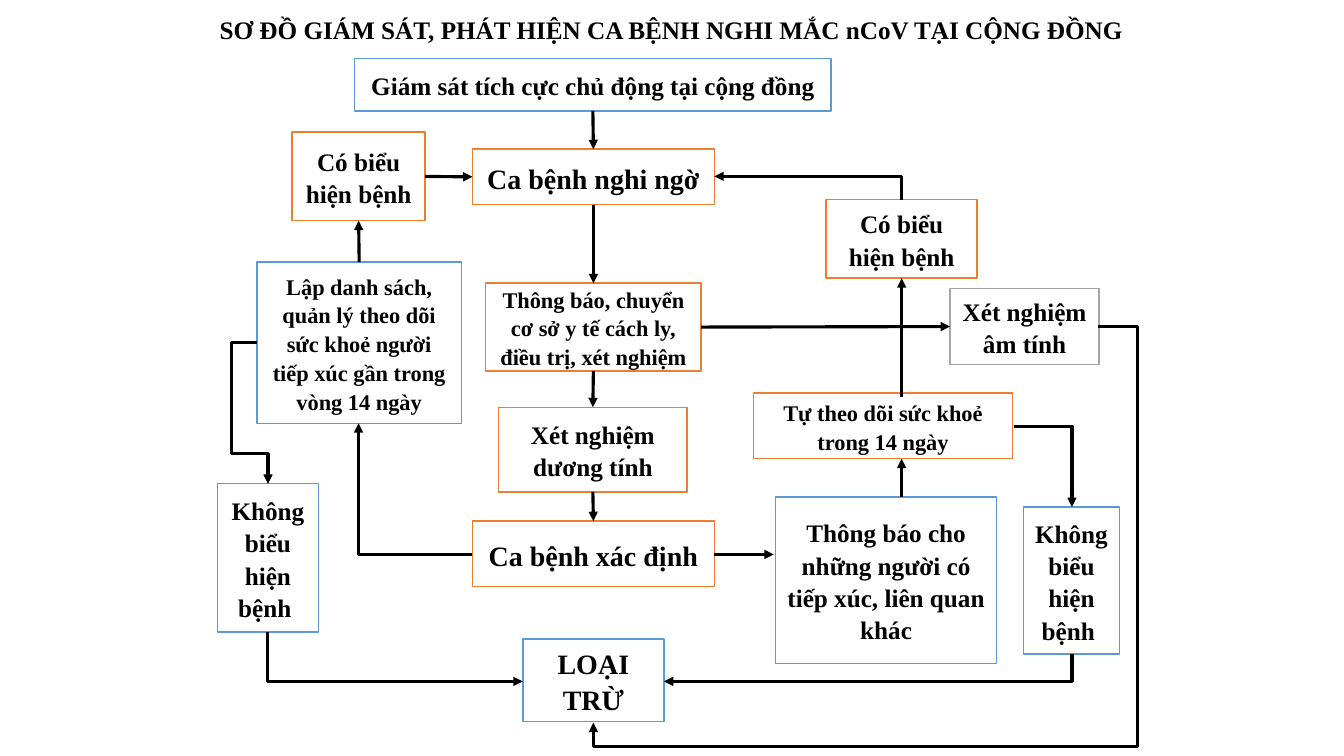
from pptx import Presentation
from pptx.dml.color import RGBColor
from pptx.enum.shapes import MSO_CONNECTOR as Connector, MSO_SHAPE as Shape
from pptx.enum.text import MSO_ANCHOR as Anchor, MSO_AUTO_SIZE as AutoSize, PP_ALIGN as Align
from pptx.oxml.ns import qn
from pptx.util import Inches, Pt
from lxml.etree import SubElement

TITLE = "SƠ ĐỒ GIÁM SÁT, PHÁT HIỆN CA BỆNH NGHI MẮC nCoV TẠI CỘNG ĐỒNG"
FONT = "Times New Roman"
BLACK, WHITE = "000000", "FFFFFF"
ORANGE, BLUE, GRAY = "ED7D31", "5B9BD5", "A5A5A5"
TOP, LEFT, BOTTOM, RIGHT = range(4)  # connection sites of a rectangle

# name: (text, font size, line colour, (left, top, width, height))
BOXES = {
    "surveillance": ("Giám sát tích cực chủ động tại cộng đồng", 18, BLUE, (3.52, 0.58, 4.73, 0.52)),
    "suspected": ("Ca bệnh nghi ngờ", 20, ORANGE, (4.69, 1.48, 2.4, 0.55)),
    "isolation": ("Thông báo, chuyển cơ sở y tế cách ly, điều trị, xét nghiệm", 16, ORANGE,
                  (4.82, 2.81, 2.14, 0.87)),
    "positive": ("Xét nghiệm dương tính", 18, ORANGE, (4.95, 4.04, 1.87, 0.84)),
    "confirmed": ("Ca bệnh xác định", 20, ORANGE, (4.69, 5.17, 2.4, 0.65)),
    "excluded": ("LOẠI TRỪ", 20, BLUE, (5.19, 6.34, 1.4, 0.82)),
    "close contacts": ("Lập danh sách, quản lý theo dõi sức khoẻ người tiếp xúc gần trong vòng 14 ngày",
                       16, BLUE, (2.55, 2.6, 2.03, 1.6)),
    "symptoms left": ("Có biểu hiện bệnh", 18, ORANGE, (2.9, 1.31, 1.32, 0.88)),
    "no symptoms left": ("Không biểu hiện bệnh ", 18, BLUE, (2.16, 4.8, 1, 1.47)),
    "other contacts": ("Thông báo cho những người có tiếp xúc, liên quan khác", 18, BLUE,
                       (7.7, 4.93, 2.19, 1.65)),
    "self monitoring": ("Tự theo dõi sức khoẻ trong 14 ngày", 16, ORANGE, (7.48, 3.9, 2.57, 0.65)),
    "symptoms right": ("Có biểu hiện bệnh", 18, ORANGE, (8.2, 1.98, 1.5, 0.78)),
    "negative": ("Xét nghiệm âm tính", 18, GRAY, (9.43, 2.86, 1.48, 0.76)),
    "no symptoms right": ("Không biểu hiện bệnh ", 18, BLUE, (10.16, 5.03, 0.95, 1.46)),
}
# Straight arrows glued to box sides
LINKS = [
    ("surveillance", BOTTOM, "suspected", TOP),
    ("suspected", BOTTOM, "isolation", TOP),
    ("isolation", BOTTOM, "positive", TOP),
    ("positive", BOTTOM, "confirmed", TOP),
    ("isolation", RIGHT, "negative", LEFT),
    ("symptoms left", RIGHT, "suspected", LEFT),
    ("close contacts", TOP, "symptoms left", BOTTOM),
]
# Straight arrows that meet a box away from the middle of its side
FREE_ARROWS = [
    ((7.09, 5.5), (7.68, 5.5)),
    ((8.95, 4.93), (8.95, 4.55)),
    ((8.95, 3.94), (8.95, 2.76)),
]
# One corner, horizontal part first: (begin, end, end that carries the arrowhead)
CORNERS = [
    ((4.69, 5.5), (3.56, 4.2), "tailEnd"),
    ((10.06, 4.23), (10.64, 5.03), "tailEnd"),
    ((7.09, 1.75), (8.95, 1.98), "headEnd"),
    ((5.19, 6.76), (2.66, 6.27), "headEnd"),
    ((6.59, 6.76), (10.64, 6.49), "headEnd"),
]
# Three corners: (begin, end, x of the vertical run, y of the horizontal run)
DETOURS = [
    ((2.55, 3.4), (2.66, 4.8), 2.3, 4.5),
    ((10.9, 3.24), (5.89, 7.17), 11.29, 7.41),
]


def color(value):
    return RGBColor.from_string(value)


def write(shape, text, size, alignment):
    frame = shape.text_frame
    frame.word_wrap = True
    frame.auto_size = AutoSize.NONE
    frame.vertical_anchor = Anchor.MIDDLE
    paragraph = frame.paragraphs[0]
    paragraph.text = text
    paragraph.alignment = alignment
    for name, value in {"name": FONT, "size": Pt(size), "bold": True}.items():
        setattr(paragraph.font, name, value)
    paragraph.font.color.rgb = color(BLACK)
    return paragraph


def add_box(slide, text, size, line_color, place):
    box = slide.shapes.add_shape(Shape.RECTANGLE, *map(Inches, place))
    box.shadow.inherit = False
    box.fill.solid()
    box.fill.fore_color.rgb = color(WHITE)
    box.line.color.rgb = color(line_color)
    box.line.width = Pt(1)
    paragraph = write(box, text, size, Align.CENTER)
    paragraph.line_spacing = 1.07
    paragraph.space_after = Pt(8)
    return box


def add_arrow(slide, begin=(0, 0), end=(0, 0), kind=Connector.STRAIGHT, arrow_end="tailEnd"):
    arrow = slide.shapes.add_connector(kind, *map(Inches, begin + end))
    arrow.line.color.rgb = color(BLACK)
    arrow.line.width = Pt(2.25)
    properties = arrow._element.spPr
    SubElement(properties.find(qn("a:ln")), qn("a:" + arrow_end), type="triangle")
    SubElement(properties, qn("a:effectLst"))
    return arrow


def set_bends(arrow, preset, *adjustments):
    """Choose the elbow preset and the share of width or height where it turns."""
    geometry = arrow._element.spPr.find(qn("a:prstGeom"))
    geometry.set("prst", preset)
    for number, share in enumerate(adjustments, 1):
        SubElement(geometry.find(qn("a:avLst")), qn("a:gd"),
                   name=f"adj{number}", fmla=f"val {round(share * 100000)}")


def main():
    presentation = Presentation()
    presentation.slide_width, presentation.slide_height = Inches(13.34), Inches(7.5)
    slide = presentation.slides.add_slide(presentation.slide_layouts[5])

    title = slide.shapes.title
    title.left, title.top, title.width, title.height = map(Inches, (2.08, 0.09, 9.51, 0.4))
    write(title, TITLE, 18, Align.LEFT)

    boxes = {name: add_box(slide, *details) for name, details in BOXES.items()}

    for source, source_side, target, target_side in LINKS:
        arrow = add_arrow(slide)
        arrow.begin_connect(boxes[source], source_side)
        arrow.end_connect(boxes[target], target_side)
    for begin, end in FREE_ARROWS:
        add_arrow(slide, begin, end)
    for begin, end, arrow_end in CORNERS:
        set_bends(add_arrow(slide, begin, end, Connector.ELBOW, arrow_end), "bentConnector2")
    for begin, end, run_x, run_y in DETOURS:
        set_bends(add_arrow(slide, begin, end, Connector.ELBOW), "bentConnector4",
                  (run_x - begin[0]) / (end[0] - begin[0]),
                  (run_y - begin[1]) / (end[1] - begin[1]))

    presentation.save("out.pptx")


if __name__ == "__main__":
    main()
